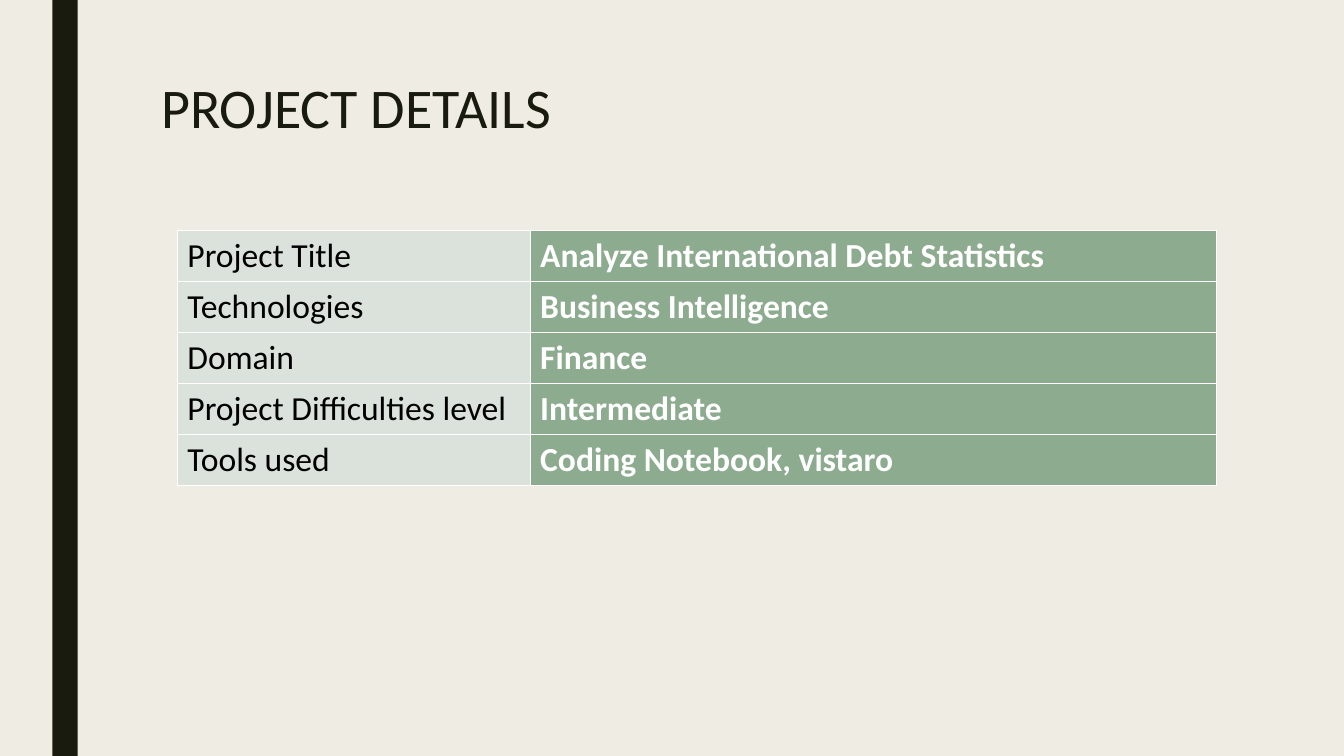
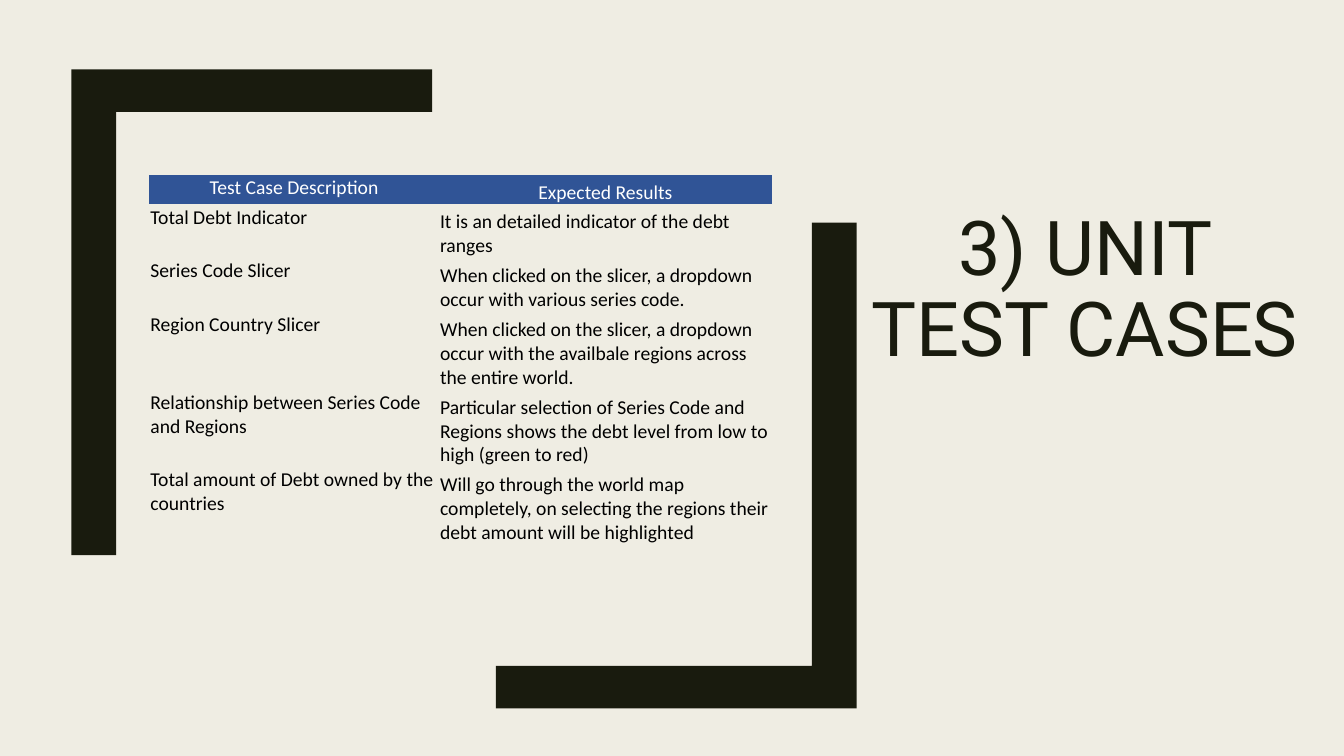
from lxml.etree import SubElement
from pptx import Presentation
from pptx.dml.color import RGBColor
from pptx.enum.shapes import MSO_SHAPE
from pptx.enum.text import MSO_ANCHOR as Anchor, MSO_AUTO_SIZE as AutoSize, PP_ALIGN as Align
from pptx.oxml.ns import qn
from pptx.util import Cm, Pt

CREAM = RGBColor(0xEF, 0xED, 0xE3)
INK = RGBColor(0x19, 0x1B, 0x0E)
BLACK = RGBColor(0x00, 0x00, 0x00)
WHITE = RGBColor(0xFF, 0xFF, 0xFF)
PALE_GREEN = RGBColor(0xDB, 0xE2, 0xDB)
GREEN = RGBColor(0x8D, 0xAB, 0x8E)
BLUE = RGBColor(0x30, 0x54, 0x96)

SLIDE_WIDTH, SLIDE_HEIGHT = Cm(33.87), Cm(19.05)
PLAIN_TABLE = "{2D5ABB26-0587-4C30-8999-92F81FD0307C}"
TIGHT = {"margin_left": Cm(0.03), "margin_right": Cm(0.03),
         "margin_top": Cm(0.03), "margin_bottom": 0}

DETAILS = [
    ("Project Title", "Analyze International Debt Statistics"),
    ("Technologies", "Business Intelligence"),
    ("Domain", "Finance"),
    ("Project Difficulties level", "Intermediate"),
    ("Tools used", "Coding Notebook, vistaro"),
]
TEST_CASES = [
    ("Test Case Description", "Expected Results"),
    ("Total Debt Indicator", "It is an detailed indicator of the debt ranges"),
    ("Series Code Slicer",
     "When clicked on the slicer, a dropdown occur with various series code."),
    ("Region Country Slicer",
     "When clicked on the slicer, a dropdown occur with the availbale regions "
     "across the entire world."),
    ("Relationship between Series Code and Regions",
     "Particular selection of Series Code and Regions shows the debt level "
     "from low to high (green to red)"),
    ("Total amount of Debt owned by the countries",
     "Will go through the world map completely, on selecting the regions "
     "their debt amount will be highlighted"),
]


def apply(target, values):
    """Set each named attribute on the target."""
    for name, value in values.items():
        setattr(target, name, value)


def write(frame, text, color, align=Align.LEFT, spacing=None, **font):
    """Put one formatted paragraph into a text frame."""
    paragraph = frame.paragraphs[0]
    apply(paragraph, {"alignment": align, "line_spacing": spacing})
    run = paragraph.add_run()
    run.text = text
    apply(run.font, font)
    run.font.color.rgb = color


def paint(shape, color):
    """Give a shape a flat fill without outline or shadow."""
    shape.shadow.inherit = False
    shape.fill.solid()
    shape.fill.fore_color.rgb = color
    shape.line.fill.background()


def add_titled_slide(deck, text, box, anchor, align, **font):
    """Add a title-only slide with its title in the given box."""
    slide = deck.slides.add_slide(deck.slide_layouts.get_by_name("Title Only"))
    title = slide.shapes.title
    apply(title, dict(zip(("left", "top", "width", "height"), box)))
    apply(title.text_frame, {"word_wrap": True, "auto_size": AutoSize.NONE,
                             "vertical_anchor": anchor})
    write(title.text_frame, text, INK, align, 0.89, **font)
    return slide


def add_side_bar(slide, left, width):
    """Draw the full-height bar near the left edge."""
    bar = slide.shapes.add_shape(MSO_SHAPE.RECTANGLE, left, 0, width, SLIDE_HEIGHT)
    paint(bar, INK)


def add_bracket(slide, left, top, turned=False):
    """Draw a corner bracket, turned by half a circle for the lower right."""
    width, height = Cm(9.09), Cm(12.24)
    post, beam = Cm(1.13), Cm(1.07)
    corners = [(0, 0), (width, 0), (width, beam), (post, beam), (post, height), (0, height)]
    if turned:
        corners = [(width - x, height - y) for x, y in corners]
    points = [(left + x, top + y) for x, y in corners]
    builder = slide.shapes.build_freeform(*points[0])
    builder.add_line_segments(points[1:], close=True)
    paint(builder.convert_to_shape(), INK)


def add_borders(cell, color):
    """Rule all four sides of a cell at one point."""
    properties = cell._tc.get_or_add_tcPr()
    for position, side in enumerate(("lnL", "lnR", "lnT", "lnB")):
        line = SubElement(properties, qn(f"a:{side}"), w=str(Pt(1)))
        fill = SubElement(line, qn("a:solidFill"))
        SubElement(fill, qn("a:srgbClr"), val=str(color))
        properties.insert(position, line)


def add_grid(slide, left, top, widths, heights, rows, style):
    """Place a table whose cells are formatted by style(row, column)."""
    table = slide.shapes.add_table(len(rows), len(widths), left, top,
                                   sum(widths), sum(heights)).table
    apply(table, {"first_row": False, "horz_banding": False})
    table._tbl.tblPr.find(qn("a:tableStyleId")).text = PLAIN_TABLE
    for column, width in zip(table.columns, widths):
        column.width = width
    for row, height in zip(table.rows, heights):
        row.height = height
    for r, texts in enumerate(rows):
        for c, text in enumerate(texts):
            cell = table.cell(r, c)
            look = style(r, c)
            apply(cell, look["cell"])
            write(cell.text_frame, text, **look["text"])
            if look["fill"] is None:
                cell.fill.background()
            else:
                cell.fill.solid()
                cell.fill.fore_color.rgb = look["fill"]
            if "border" in look:
                add_borders(cell, look["border"])


def detail_style(row, column):
    """Style labels pale and values bold on green."""
    is_value = column == 1
    return {
        "cell": {},
        "fill": GREEN if is_value else PALE_GREEN,
        "border": WHITE,
        "text": {"color": WHITE if is_value else BLACK, "bold": is_value,
                 "size": Pt(24), "name": "Calibri"},
    }


def test_case_style(row, column):
    """Style the blue header row and the plain rows below it."""
    is_header = row == 0
    anchor = Anchor.BOTTOM if column == 1 else Anchor.TOP
    return {
        "cell": {**TIGHT, "vertical_anchor": anchor},
        "fill": BLUE if is_header else None,
        "text": {"color": WHITE if is_header else BLACK,
                 "align": Align.CENTER if is_header else Align.LEFT,
                 "size": Pt(14), "name": "Calibri"},
    }


def build_details(deck):
    """Build the project details slide."""
    box = Cm(3.81), Cm(1.9), Cm(26.67), Cm(2.2)
    slide = add_titled_slide(deck, "PROJECT DETAILS", box, Anchor.TOP, Align.LEFT,
                             size=Pt(40), name="Calibri")
    add_side_bar(slide, Cm(1.32), Cm(0.64))
    add_grid(slide, Cm(4.47), Cm(5.8), [Cm(8.89), Cm(17.3)],
             [Cm(1.27)] * len(DETAILS), DETAILS, detail_style)


def build_test_cases(deck):
    """Build the unit test cases slide."""
    box = Cm(21.59), Cm(4.77), Cm(11.5), Cm(4.75)
    slide = add_titled_slide(deck, "3) UNIT TEST CASES", box, Anchor.BOTTOM, Align.CENTER,
                             size=Pt(54), name="Roboto")
    add_bracket(slide, Cm(1.8), Cm(1.75))
    add_bracket(slide, Cm(12.5), Cm(5.61), turned=True)
    heights = [Cm(0.75)] + [Cm(1.35)] * 2 + [Cm(1.96)] * 3
    add_grid(slide, Cm(3.76), Cm(4.4), [Cm(7.3), Cm(8.4)], heights,
             TEST_CASES, test_case_style)


def main():
    """Build and save the deck."""
    deck = Presentation()
    apply(deck, {"slide_width": SLIDE_WIDTH, "slide_height": SLIDE_HEIGHT})
    background = deck.slide_master.background.fill
    background.solid()
    background.fore_color.rgb = CREAM
    build_details(deck)
    build_test_cases(deck)
    deck.save("out.pptx")


if __name__ == "__main__":
    main()
